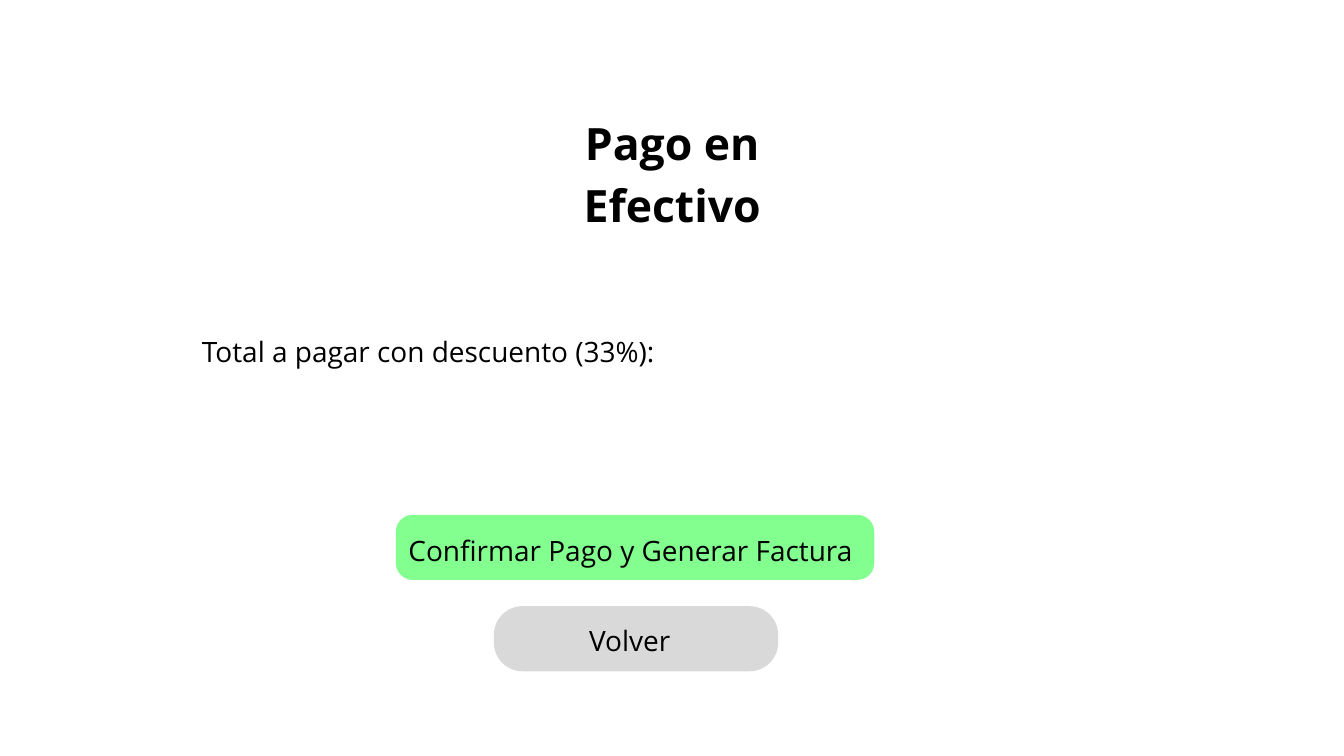
"""Build the cash payment screen with its total line and two buttons."""
import pptx
import pptx.dml.color
import pptx.enum.shapes
import pptx.enum.text
import pptx.util

deck = pptx.Presentation()
deck.slide_width = pptx.util.Inches(20)
deck.slide_height = pptx.util.Inches(11.25)
screen = deck.slides.add_slide(deck.slide_layouts[6])
column = deck.slide_width / 100
row = deck.slide_height / 100


def paint(color_format, color):
    color_format.rgb = pptx.dml.color.RGBColor.from_string(color)


def write(text, *, left, top, width, height=4.98, size=30, leading=42, bold=False, color="000000"):
    label = screen.shapes.add_textbox(
        int(left * column), int(top * row), int(width * column), int(height * row))
    frame = label.text_frame
    frame.word_wrap = True
    frame.margin_left = frame.margin_top = frame.margin_right = frame.margin_bottom = 0
    paragraph = frame.paragraphs[0]
    paragraph.text = text
    paragraph.alignment = pptx.enum.text.PP_ALIGN.CENTER
    paragraph.line_spacing = pptx.util.Pt(leading)
    font = paragraph.runs[0].font
    font.name = "Open Sans"
    font.size = pptx.util.Pt(size)
    font.bold = bold
    paint(font.color, color)


write("Pago en Efectivo", left=36.5, top=14.13, width=27.05, height=8,
      size=47.7, leading=66.8, bold=True)
write("Total a pagar con descuento (33%):", left=14.95, top=43.56, width=33.85)

actions = [
    ("Confirmar Pago y Generar Factura", "83FF90", 29.45, 68.09, 35.6, 0.26, 30.35, 69.87, 33.15),
    ("Volver", "D9D9D9", 36.75, 80.18, 21.15, 0.44, 43.8, 81.69, 6.1),
]
for caption, color, left, top, width, rounding, caption_left, caption_top, caption_width in actions:
    button = screen.shapes.add_shape(
        pptx.enum.shapes.MSO_SHAPE.ROUNDED_RECTANGLE,
        int(left * column), int(top * row), int(width * column), int(8.62 * row))
    button.adjustments[0] = rounding
    button.shadow.inherit = False
    button.fill.solid()
    paint(button.fill.fore_color, color)
    button.line.fill.background()
    write(caption, left=caption_left, top=caption_top, width=caption_width)

deck.save("out.pptx")
